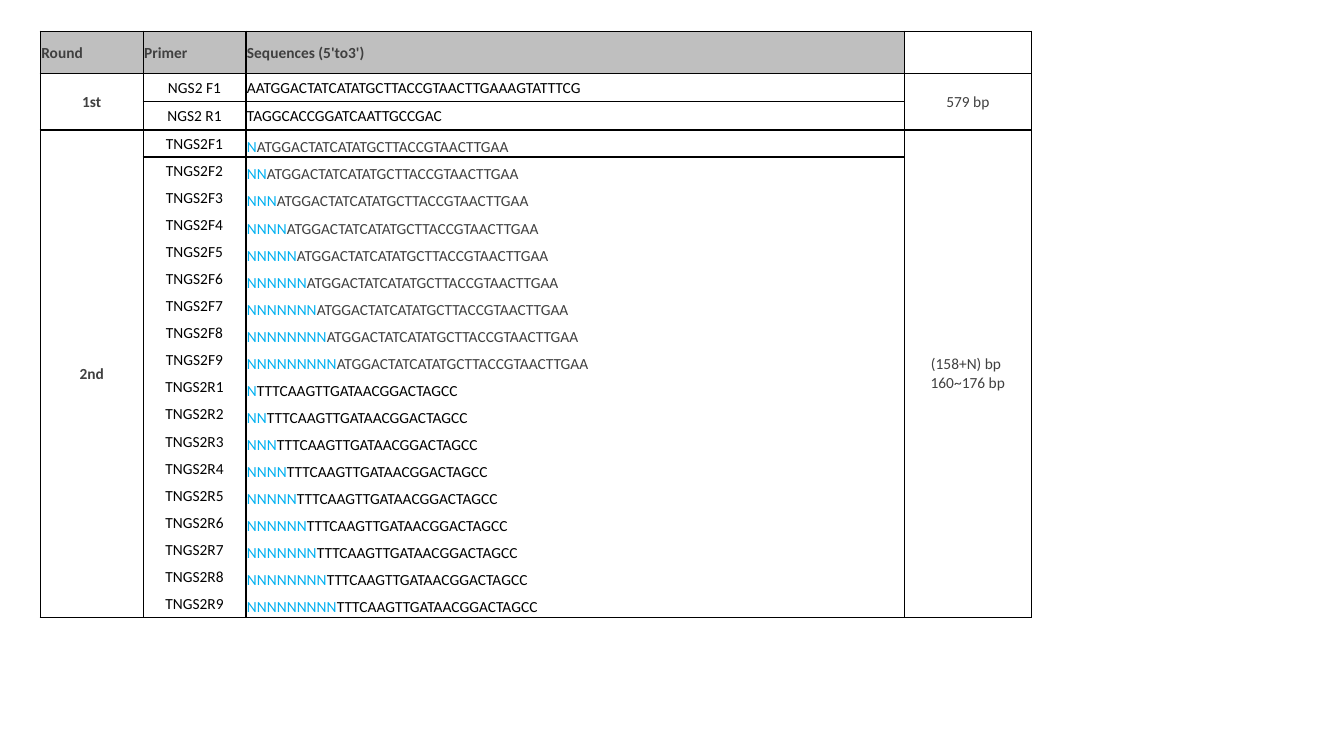
import pptx
import pptx.dml.color
import pptx.enum.text
import pptx.util
from lxml import etree
from pptx.oxml.ns import qn

Inches = pptx.util.Inches
Pt = pptx.util.Pt
ALIGN = pptx.enum.text.PP_ALIGN
ANCHOR = pptx.enum.text.MSO_ANCHOR

COLORS = {"black": "000000", "gray": "404040", "blue": "00B0F0", "header": "BFBFBF"}
FONT, SIZE = "Calibri", Pt(11)
PLAIN_STYLE = "{2D5ABB26-0587-4C30-8999-92F81FD0307C}"

COLUMN_WIDTHS = [1.02, 1.02, 6.53, 1.26]
TAIL_LENGTHS = range(1, 10)
ROW_HEIGHTS = [0.42] + [0.28] * 2 + [4.84 / 18] * 18

HEADERS = ["Round", "Primer", "Sequences (5'to3')"]
FIRST_ROUND = [
    ("NGS2 F1", "AATGGACTATCATATGCTTACCGTAACTTGAAAGTATTTCG"),
    ("NGS2 R1", "TAGGCACCGGATCAATTGCCGAC"),
]
# Direction letter, shared sequence and its colour
SECOND_ROUND = [
    ("F", "ATGGACTATCATATGCTTACCGTAACTTGAA", "gray"),
    ("R", "TTTCAAGTTGATAACGGACTAGCC", "black"),
]


def rgb(name):
    return pptx.dml.color.RGBColor.from_string(COLORS[name])


def draw_borders(cell, edges):
    """Draw black 1 pt lines on the given edges, named by L, R, T and B."""
    properties = cell._tc.get_or_add_tcPr()
    for edge in edges:
        line = etree.SubElement(properties, qn(f"a:ln{edge}"), w=str(Pt(1)))
        fill = etree.SubElement(line, qn("a:solidFill"))
        etree.SubElement(fill, qn("a:srgbClr"), val=COLORS["black"])


def prepare_cell(cell, edges):
    cell.margin_left = cell.margin_right = cell.margin_top = Inches(0.01)
    cell.margin_bottom = 0
    cell.vertical_anchor = ANCHOR.MIDDLE
    draw_borders(cell, edges)
    cell.fill.background()
    # Keep cells without text from stretching their row
    etree.SubElement(cell.text_frame.paragraphs[0]._p, qn("a:endParaRPr"), sz="1100")


def write(cell, pieces, align=ALIGN.CENTER, bold=False):
    """Fill a cell with (text, colour) pieces; None stands for a line break."""
    para = cell.text_frame.paragraphs[0]
    para.alignment = align
    for piece in pieces:
        if piece is None:
            para.add_line_break()
            continue
        text, color = piece
        span = para.add_run()
        span.text = text
        span.font.name, span.font.size, span.font.bold = FONT, SIZE, bold
        span.font.color.rgb = rgb(color)


def add_grid(page):
    box = page.shapes.add_table(
        len(ROW_HEIGHTS), len(COLUMN_WIDTHS), Inches(0.4), Inches(0.31),
        Inches(sum(COLUMN_WIDTHS)), Inches(sum(ROW_HEIGHTS)))
    table = box.table
    table.first_row = table.horz_banding = False
    table._tbl.tblPr.find(qn("a:tableStyleId")).text = PLAIN_STYLE
    for column, width in zip(table.columns, COLUMN_WIDTHS):
        column.width = Inches(width)
    for row, height in zip(table.rows, ROW_HEIGHTS):
        row.height = Inches(height)
    return table


def add_header(table):
    for column in range(len(COLUMN_WIDTHS)):
        prepare_cell(table.cell(0, column), "LRTB")
    for column, title in enumerate(HEADERS):
        cell = table.cell(0, column)
        cell.fill.solid()
        cell.fill.fore_color.rgb = rgb("header")
        write(cell, [(title, "gray")], ALIGN.JUSTIFY, bold=True)


def add_round(table, top, title, primers, product, anchor):
    """Add a block of primer rows between merged title and product cells."""
    bottom = top + len(primers) - 1
    for row, (name, sequence) in enumerate(primers, top):
        edges = "LR" + "T" * (row == top) + "B" * (row == bottom)
        for column in range(len(COLUMN_WIDTHS)):
            merged_start = column in (0, 3) and row == top
            prepare_cell(table.cell(row, column), "LRTB" if merged_start else edges)
        write(table.cell(row, 1), [(name, "black")])
        write(table.cell(row, 2), sequence, ALIGN.LEFT)
        table.cell(row, 2).vertical_anchor = anchor
    for column, pieces, bold in ((0, [(title, "gray")], True), (3, product, False)):
        table.cell(top, column).merge(table.cell(bottom, column))
        write(table.cell(top, column), pieces, bold=bold)


def main():
    deck = pptx.Presentation()
    deck.slide_width, deck.slide_height = Inches(13.33), Inches(7.5)
    page = deck.slides.add_slide(deck.slide_layouts[6])

    table = add_grid(page)
    add_header(table)

    # First round: plain primers
    first = [(name, [(sequence, "black")]) for name, sequence in FIRST_ROUND]
    add_round(table, 1, "1st", first, [("579 bp", "gray")], ANCHOR.MIDDLE)

    # Second round: each primer starts with one more N than the last
    second = [
        (f"TNGS2{letter}{count}", [("N" * count, "blue"), (sequence, color)])
        for letter, sequence, color in SECOND_ROUND
        for count in TAIL_LENGTHS
    ]
    product = [("(158+N) bp ", "gray"), None, ("160~176 bp", "gray")]
    add_round(table, 1 + len(first), "2nd", second, product, ANCHOR.BOTTOM)

    deck.save("out.pptx")


if __name__ == "__main__":
    main()
